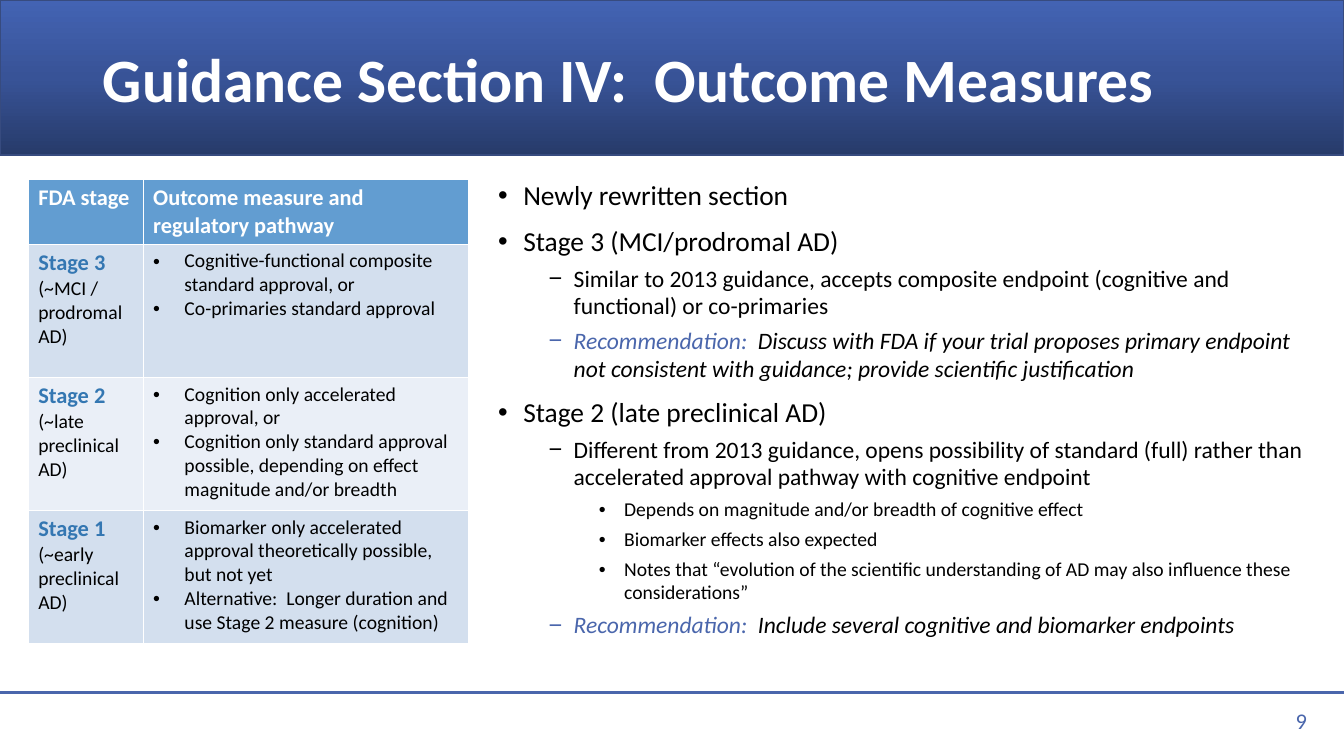
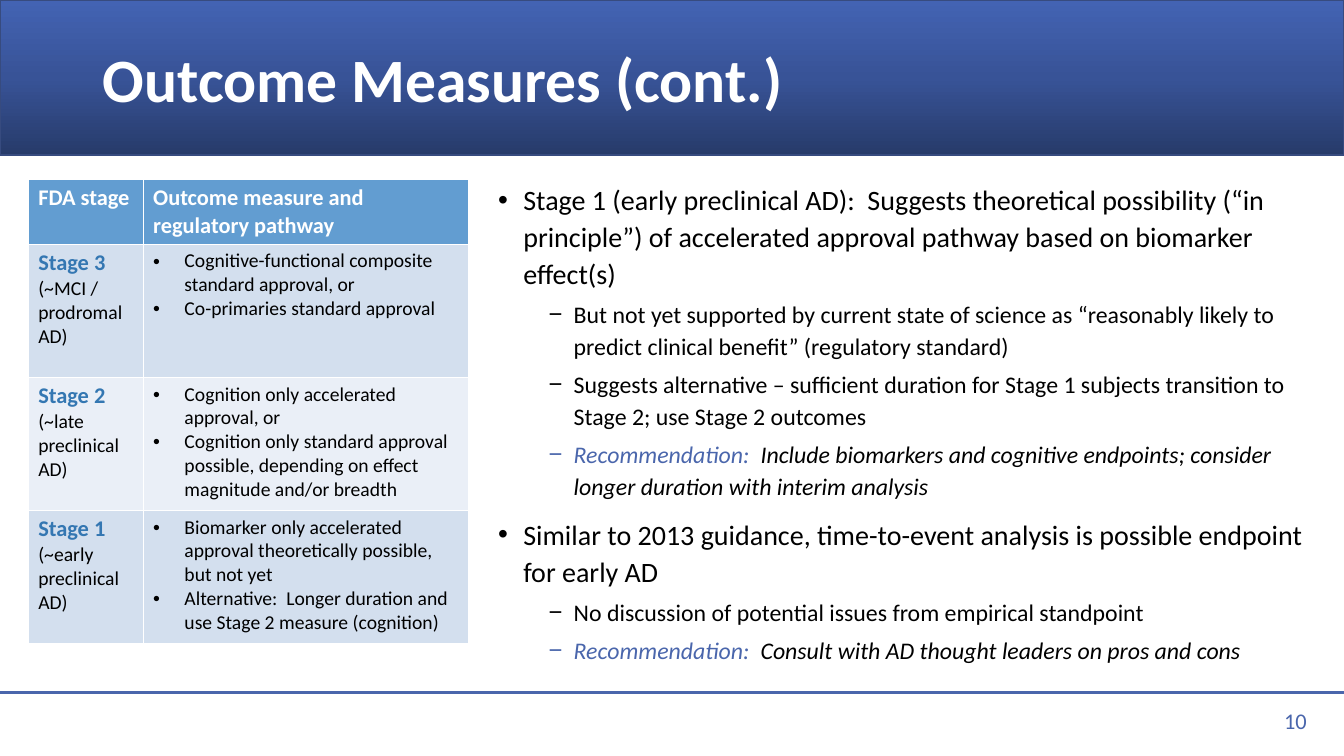
from copy import deepcopy
from dataclasses import dataclass

from lxml import etree
from pptx import Presentation
from pptx import util as u
from pptx.dml.color import RGBColor
from pptx.enum import shapes, text
from pptx.oxml.ns import qn


@dataclass(frozen=True)
class Theme:
    font: str = "Calibri"
    ink: str = "000000"
    paper: str = "FFFFFF"
    accent: str = "4A66AC"
    stage: str = "3477B2"
    header: str = "629DD1"
    stripes: tuple = ("D3DFEE", "EAEFF7")
    band: tuple = ((0, "273B6A"), (0.5, "385397"), (1, "4363B3"))
    band_edge: str = "374B7F"
    title_size: float = 44
    heading_size: float = 16
    cell_size: float = 14


THEME = Theme()
WIDTH, HEIGHT = 13.33, 7.5
BAND_HEIGHT, RULE_Y = 1.54, 6.87
TITLE_BOX = (0.92, 0.25, 11.5, 1.13)
LIST_BOX = (4.84, 1.73, 8.36, 5.16)
NUMBER_BOX = (10.06, 6.95, 3, 0.4)
TABLE_AT = (0.28, 1.78)
COLUMNS = (1.14, 3.23)
ROWS = (0.64, 1.32, 1.32, 1.32)
CELL_INDENT, LIST_INDENT, LEVEL_STEP = 0.31, 0.25, 0.5
BULLETS = ("•", "−", "•")
SPACE_BEFORE = (10, 5, 5)
ADVICE = "Recommendation:  "

STAGE_HEADER = ("FDA stage", "Outcome measure and regulatory pathway")
STAGES = [
    ("Stage 3", "(~MCI / prodromal AD)",
     ["Cognitive-functional composite standard approval, or",
      "Co-primaries standard approval"]),
    ("Stage 2", "(~late preclinical AD)",
     ["Cognition only accelerated approval, or",
      "Cognition only standard approval possible, depending on effect "
      "magnitude and/or breadth"]),
    ("Stage 1", "(~early preclinical AD)",
     ["Biomarker only accelerated approval theoretically possible, but not yet",
      "Alternative:  Longer duration and use Stage 2 measure (cognition)"]),
]

# Each point is (level, text); sizes are given per level.
SLIDES = [
    dict(
        title="Guidance Section IV:  Outcome Measures", number=9,
        sizes=(19.6, 16.8, 14), spacing=0.98,
        points=[
            (0, "Newly rewritten section"),
            (0, "Stage 3 (MCI/prodromal AD)"),
            (1, "Similar to 2013 guidance, accepts composite endpoint "
                "(cognitive and functional) or co-primaries"),
            (1, ADVICE + "Discuss with FDA if your trial proposes primary endpoint "
                "not consistent with guidance; provide scientific justification"),
            (0, "Stage 2 (late preclinical AD)"),
            (1, "Different from 2013 guidance, opens possibility of standard (full) "
                "rather than accelerated approval pathway with cognitive endpoint"),
            (2, "Depends on magnitude and/or breadth of cognitive effect"),
            (2, "Biomarker effects also expected"),
            (2, "Notes that “evolution of the scientific understanding of AD may "
                "also influence these considerations”"),
            (1, ADVICE + "Include several cognitive and biomarker endpoints"),
        ]),
    dict(
        title="Outcome Measures (cont.)", number=10,
        sizes=(20, 17, 14), spacing=1.1,
        points=[
            (0, "Stage 1 (early preclinical AD):  Suggests theoretical possibility "
                "(“in principle”) of accelerated approval pathway based on "
                "biomarker effect(s)"),
            (1, "But not yet supported by current state of science as “reasonably "
                "likely to predict clinical benefit” (regulatory standard)"),
            (1, "Suggests alternative – sufficient duration for Stage 1 subjects "
                "transition to Stage 2; use Stage 2 outcomes"),
            (1, ADVICE + "Include biomarkers and cognitive endpoints; consider "
                "longer duration with interim analysis"),
            (0, "Similar to 2013 guidance, time-to-event analysis is possible "
                "endpoint for early AD"),
            (1, "No discussion of potential issues from empirical standpoint"),
            (1, ADVICE + "Consult with AD thought leaders on pros and cons"),
        ]),
]


def rgb(value):
    return RGBColor.from_string(value)


def inches(values):
    return [u.Inches(value) for value in values]


def set_font(font, size, color, bold=False, italic=False):
    font.name, font.size = THEME.font, u.Pt(size)
    font.bold, font.italic = bold, italic
    font.color.rgb = rgb(color)


def set_bullet(paragraph, char, left, hang, color):
    props = paragraph._p.get_or_add_pPr()
    props.set("marL", str(u.Inches(left)))
    props.set("indent", str(-u.Inches(hang)))
    tint = etree.SubElement(props, qn("a:buClr"))
    etree.SubElement(tint, qn("a:srgbClr"), val=color)
    etree.SubElement(props, qn("a:buFont"), typeface="Arial")
    etree.SubElement(props, qn("a:buChar"), char=char)


def paragraphs(frame, count):
    """Return the frame's first paragraph and as many new ones as needed."""
    return [frame.paragraphs[0]] + [frame.add_paragraph() for _ in range(count - 1)]


def place(shape, box):
    shape.left, shape.top, shape.width, shape.height = inches(box)


def dress_master(prs, layout, slide):
    """Draw the band and the rule, hand them to the master, and set the layout."""
    band = slide.shapes.add_shape(
        shapes.MSO_SHAPE.RECTANGLE, *inches((0, 0, WIDTH, BAND_HEIGHT)))
    band.shadow.inherit = False
    band.fill.gradient()
    band.fill.gradient_angle = 90
    stops = band._element.spPr.find(".//" + qn("a:gsLst"))
    stops.insert(1, deepcopy(stops[0]))
    for stop, (position, color) in zip(band.fill.gradient_stops, THEME.band):
        stop.position, stop.color.rgb = position, rgb(color)
    band.line.color.rgb, band.line.width = rgb(THEME.band_edge), u.Pt(1)

    rule = slide.shapes.add_connector(
        shapes.MSO_CONNECTOR.STRAIGHT, *inches((0, RULE_Y, WIDTH, RULE_Y)))
    rule.line.color.rgb, rule.line.width = rgb(THEME.accent), u.Pt(1.5)
    etree.SubElement(rule._element.spPr, qn("a:effectLst"))

    tree = prs.slide_master.element.cSld.spTree
    for position, shape in enumerate((band, rule), start=2):
        tree.insert(position, shape._element)
    place(layout.placeholders[0], TITLE_BOX)
    place(layout.placeholders[1], LIST_BOX)


def write_title(frame, title):
    frame.auto_size = text.MSO_AUTO_SIZE.NONE
    frame.vertical_anchor = text.MSO_ANCHOR.MIDDLE
    heading = frame.paragraphs[0]
    heading.text = title
    heading.alignment, heading.line_spacing = text.PP_ALIGN.LEFT, 0.9
    set_font(heading.font, THEME.title_size, THEME.paper, bold=True)


def write_points(frame, points, sizes, spacing):
    frame.auto_size = text.MSO_AUTO_SIZE.NONE
    frame.vertical_anchor = text.MSO_ANCHOR.TOP
    lines = paragraphs(frame, len(points))
    for index, (line, (level, words)) in enumerate(zip(lines, points)):
        advice = words.startswith(ADVICE)
        line.level = level
        set_bullet(line, BULLETS[level], LIST_INDENT + level * LEVEL_STEP,
                   LIST_INDENT, THEME.accent if advice else THEME.ink)
        line.line_spacing = spacing
        line.space_before = u.Pt(SPACE_BEFORE[level] if index else 0)
        set_font(line.font, sizes[level], THEME.ink, italic=advice)
        if advice:
            label = line.add_run()
            label.text = ADVICE
            label.font.color.rgb = rgb(THEME.accent)
        line.add_run().text = words.removeprefix(ADVICE)


def add_stage_table(slide):
    table = slide.shapes.add_table(
        len(ROWS), len(COLUMNS),
        *inches((*TABLE_AT, sum(COLUMNS), sum(ROWS)))).table
    for column, width in zip(table.columns, COLUMNS):
        column.width = u.Inches(width)
    for row, height in zip(table.rows, ROWS):
        row.height = u.Inches(height)

    for cell, words in zip(table.rows[0].cells, STAGE_HEADER):
        cell.text = words
        set_font(cell.text_frame.paragraphs[0].font,
                 THEME.heading_size, THEME.paper, bold=True)
    for number, (stage, patients, pathways) in enumerate(STAGES, start=1):
        name, pathway = table.rows[number].cells
        head, detail = paragraphs(name.text_frame, 2)
        head.text, detail.text = stage, patients
        set_font(head.font, THEME.heading_size, THEME.stage, bold=True)
        set_font(detail.font, THEME.cell_size, THEME.ink)
        for line, words in zip(paragraphs(pathway.text_frame, len(pathways)), pathways):
            line.text = words
            set_bullet(line, BULLETS[0], CELL_INDENT, CELL_INDENT, THEME.ink)
            set_font(line.font, THEME.cell_size, THEME.ink)

    fills = (THEME.header, *(THEME.stripes[i % 2] for i in range(len(STAGES))))
    for row, color in zip(table.rows, fills):
        for cell in row.cells:
            cell.fill.solid()
            cell.fill.fore_color.rgb = rgb(color)


def add_number(slide, number):
    frame = slide.shapes.add_textbox(*inches(NUMBER_BOX)).text_frame
    frame.word_wrap = True
    frame.vertical_anchor = text.MSO_ANCHOR.MIDDLE
    line = frame.paragraphs[0]
    line.text = str(number)
    line.alignment = text.PP_ALIGN.RIGHT
    set_font(line.font, THEME.heading_size, THEME.accent)


def main():
    prs = Presentation()
    prs.slide_width, prs.slide_height = inches((WIDTH, HEIGHT))
    layout = prs.slide_layouts[1]
    for index, content in enumerate(SLIDES):
        slide = prs.slides.add_slide(layout)
        if index == 0:
            dress_master(prs, layout, slide)
        title, points = slide.placeholders
        write_title(title.text_frame, content["title"])
        write_points(points.text_frame, content["points"],
                     content["sizes"], content["spacing"])
        add_stage_table(slide)
        add_number(slide, content["number"])
    prs.save("out.pptx")


if __name__ == "__main__":
    main()
